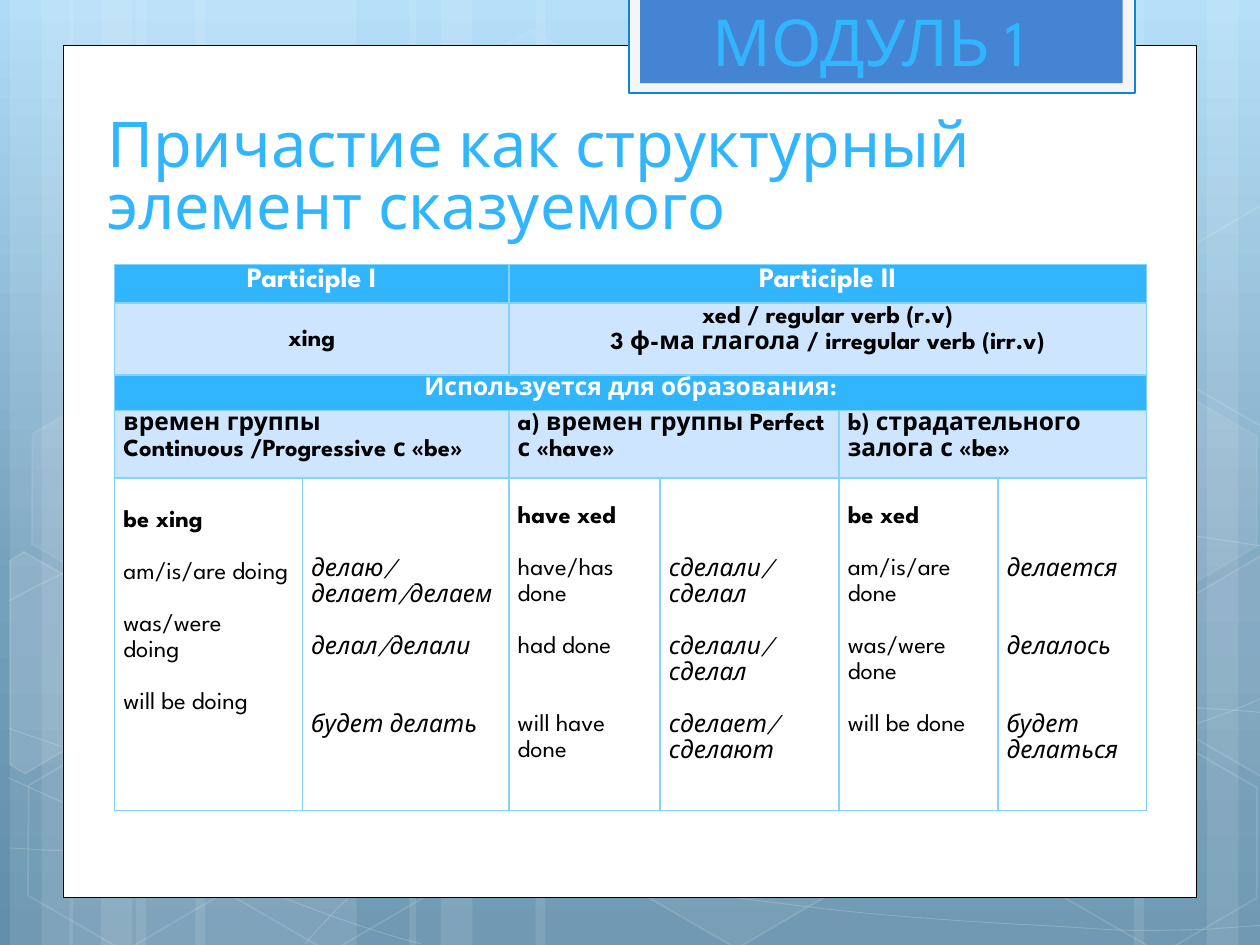
import copy
from typing import NamedTuple

import pptx
import pptx.dml.color
import pptx.enum.shapes
import pptx.enum.text
import pptx.oxml
import pptx.oxml.ns
import pptx.util

FONT = "League Spartan"
HUES = {"sky": "31B6FD", "pale": "CDE5FE", "edge": "83D3FE", "white": "FFFFFF",
        "black": "000000", "frame": "F5F5F5", "rim": "0B87D6", "tab": "4584D3",
        "high": "ADDBF8", "mid": "75A0BC", "low": "618EAB"}
KIND = pptx.enum.shapes.MSO_SHAPE
ALIGN = pptx.enum.text.PP_ALIGN
ANCHOR = pptx.enum.text.MSO_ANCHOR
UNIT = pptx.util.Inches(10) // 10  # the grid has 10 columns and 7.5 rows
LINE = 14.8  # points from one table line to the next


class Box(NamedTuple):
    left: float
    top: float
    wide: float
    high: float


class Look(NamedTuple):
    fill: str | None = None
    line: str | None = None
    width: float = 1
    fade: int = 100  # opacity of the fill, in percent
    veil: int = 100  # opacity of the line, in percent


class Head(NamedTuple):
    row: int
    col: int
    span: int
    lines: tuple[str, ...]
    fill: str = "pale"
    ink: str = "black"
    size: int = 14
    align: int = ALIGN.CENTER
    anchor: int = ANCHOR.TOP


class Form(NamedTuple):
    text: str
    gap: int = 0  # free lines above
    bold: bool = False


class Verbs(NamedTuple):
    top: float
    slant: bool
    forms: tuple[Form, ...]


BANDS = [(1.08, 1.75), (0.08, 0.5), (0.33, 0.83), (1.55, 1.75), (0.55, 0.5), (0.8, 0.83),
         (7.33, 1.75), (9.58, 0.5), (9, 0.83), (4.25, 3.08), (3.25, 0.5), (3.5, 0.83)]
# Each curve is a start point, then three points for every Bezier piece.
CURVES = [
    [(0.07, 6.73), (0.61, 6.76), (1.15, 6.79), (1.9, 6.78), (2.65, 6.77), (3.58, 6.75),
     (4.58, 6.65), (5.58, 6.55), (7, 6.36), (7.92, 6.17), (8.83, 5.98), (9.77, 5.68),
     (10.07, 5.51)],
    [(0.07, 4.77), (0.36, 4.61), (0.65, 4.46), (1.21, 4.31), (1.78, 4.16), (2.59, 3.94),
     (3.47, 3.87), (4.36, 3.8), (5.44, 3.79), (6.54, 3.87), (7.64, 3.95), (9.47, 4.26),
     (10.07, 4.34)],
    [(0.06, 6.17), (1.27, 6.72), (2.47, 7.27), (3.34, 7.49)],
    [(0.07, 5.78), (0.38, 5.89), (0.7, 6), (1.28, 6.16), (1.86, 6.31), (2.73, 6.56),
     (3.57, 6.73), (4.4, 6.9), (5.45, 7.08), (6.28, 7.18), (7.11, 7.29), (8, 7.33),
     (8.53, 7.36), (9.05, 7.4), (9.19, 7.38), (9.45, 7.38), (9.71, 7.37), (9.89, 7.35),
     (10.07, 7.34)],
    [(2.42, 7.49), (2.6, 7.29), (2.78, 7.09), (3.02, 6.91), (3.26, 6.73), (3.6, 6.53),
     (3.88, 6.39), (4.16, 6.25), (4.33, 6.19), (4.7, 6.09), (5.06, 5.99), (5.73, 5.85),
     (6.08, 5.78), (6.44, 5.71), (6.49, 5.71), (6.8, 5.69), (7.11, 5.66), (7.6, 5.63),
     (7.94, 5.62), (8.29, 5.61), (8.86, 5.62), (8.86, 5.62), (9.08, 5.62), (9.31, 5.62),
     (9.53, 5.62), (9.71, 5.63), (9.88, 5.64), (10.06, 5.66)],
]
# Left, top, opacity of the fill (0 for none) and of the line.
HEXES = [(3.34, 0.36, 4, 8), (4.97, 5.89, 6, 12), (0.11, 5.91, 0, 12), (0.14, 3.12, 7, 8),
         (1.74, 5.92, 0, 12), (7.53, 4.53, 10, 12), (8.34, 5.93, 0, 12), (8.34, 3.14, 7, 8)]
# Hexagons cut by the slide's edge: opacity of the fill and corners.
CUTS = [
    (10, [(0.08, 4.45), (0.19, 4.38), (0.96, 4.82), (0.95, 5.7), (0.2, 6.14), (0.08, 6.07)]),
    (4, [(9.26, 4.85), (10.01, 4.41), (10.09, 4.46), (10.09, 6.13), (10.02, 6.17), (9.26, 5.73)]),
    (0, [(9.26, 2.07), (10.01, 1.63), (10.1, 1.68), (10.09, 3.35), (10.02, 3.39), (9.26, 2.95)]),
]
COLS = [1.49, 1.64, 1.2, 1.42, 1.26, 1.18]
ROWS = [0.26, 0.57, 0.28, 0.52, 2.31]
HEADS = [
    Head(0, 0, 2, ("Participle I",), "sky", "white", 16),
    Head(0, 2, 4, ("Participle II",), "sky", "white", 16),
    Head(1, 0, 2, ("xing",), anchor=ANCHOR.MIDDLE),
    Head(1, 2, 4, ("xed / regular verb (r.v)", "3 ф-ма глагола / irregular verb (irr.v)")),
    Head(2, 0, 6, ("Используется для образования:",), "sky", "white"),
    Head(3, 0, 2, ("времен группы", "Continuous /Progressive с «be»"), align=ALIGN.LEFT),
    Head(3, 2, 2, ("a) времен группы Perfect с «have»",), align=ALIGN.LEFT),
    Head(3, 4, 2, ("b) страдательного залога с «be»",), align=ALIGN.LEFT),
]
VERBS = [
    Verbs(0.23, False, (Form("be xing", bold=True), Form("am/is/are doing", 1),
                        Form("was/were", 1), Form("doing"), Form("will be doing", 1))),
    Verbs(0.62, True, (Form("делаю/делает/делаем"), Form("делал/делали", 1),
                       Form("будет делать", 2))),
    Verbs(0.2, False, (Form("have xed", bold=True), Form("have/has", 1), Form("done"),
                       Form("had done", 1), Form("will have", 2), Form("done"))),
    Verbs(0.62, True, (Form("сделали/"), Form("сделал"), Form("сделали/", 1), Form("сделал"),
                       Form("сделает/", 1), Form("сделают"))),
    Verbs(0.2, False, (Form("be xed", bold=True), Form("am/is/are", 1), Form("done"),
                       Form("was/were", 1), Form("done"), Form("will be done", 1))),
    Verbs(0.62, True, (Form("делается"), Form("делалось", 2), Form("будет делаться", 2))),
]


def hue(name: str) -> pptx.dml.color.RGBColor:
    return pptx.dml.color.RGBColor.from_string(HUES[name])


def grid(*sizes: float) -> list[int]:
    return [round(size * UNIT) for size in sizes]


def sheer(fill, name: str, share: int) -> None:
    """Fill with a colour of the given opacity."""
    fill.solid()
    fill.fore_color.rgb = hue(name)
    if share < 100:
        tint = fill._xPr.find(".//" + pptx.oxml.ns.qn("a:srgbClr"))
        tint.append(pptx.oxml.parse_xml(
            f'<a:alpha {pptx.oxml.ns.nsdecls("a")} val="{share * 1000}"/>'))


def paint(shape, look: Look) -> None:
    shape.shadow.inherit = False
    if look.fill:
        sheer(shape.fill, look.fill, look.fade)
    else:
        shape.fill.background()
    if look.line:
        shape.line.width = pptx.util.Pt(look.width)
        sheer(shape.line.fill, look.line, look.veil)
    else:
        shape.line.fill.background()


def block(slide, box: Box, look: Look, kind=KIND.RECTANGLE):
    shape = slide.shapes.add_shape(kind, *grid(*box))
    paint(shape, look)
    return shape


def trace(slide, spots: list, look: Look, close: bool):
    dots = [grid(*spot) for spot in spots]
    pen = slide.shapes.build_freeform(*dots[0])
    pen.add_line_segments(dots[1:], close=close)
    shape = pen.convert_to_shape()
    paint(shape, look)
    return shape


def bend(shape) -> None:
    """Turn every three straight segments into one Bezier piece."""
    legs = list(shape._element.iter(pptx.oxml.ns.qn("a:lnTo")))
    for i in range(0, len(legs), 3):
        piece = pptx.oxml.parse_xml(f'<a:cubicBezTo {pptx.oxml.ns.nsdecls("a")}/>')
        legs[i].addprevious(piece)
        for leg in legs[i:i + 3]:
            piece.append(leg[0])
            leg.getparent().remove(leg)


def close_size(para, size: int) -> None:
    """Set the size of the paragraph's end mark, which counts for row heights."""
    para._p.get_or_add_endParaRPr().set("sz", str(size * 100))


def style(para, size: int, ink: str, bold: bool = False, slant: bool = False) -> None:
    for run in para.runs:
        font = run.font
        font.name, font.size, font.color.rgb = FONT, pptx.util.Pt(size), hue(ink)
        font.bold, font.italic = bold, slant
    close_size(para, size)


def sky(slide) -> None:
    """Lay the three-colour gradient behind the slide."""
    fill = slide.background.fill
    fill.gradient()
    fill.gradient_angle = 270
    stops = slide._element.find(".//" + pptx.oxml.ns.qn("a:gsLst"))
    stops.append(copy.deepcopy(stops[-1]))
    for stop, name, place in zip(fill.gradient_stops, ("high", "mid", "low"), (0, 0.62, 1)):
        stop.color.rgb, stop.position = hue(name), place


def decor(slide) -> None:
    for left, wide in BANDS:
        block(slide, Box(left, 0, wide, 7.5), Look("white", fade=10))
    for spots in CURVES:
        bend(trace(slide, spots, Look(line="white", width=0.5, veil=20), False))
    for left, top, fade, veil in HEXES:
        look = Look("white" if fade else None, "white", 1, fade, veil)
        shape = block(slide, Box(left, top, 1.75, 1.52), look, KIND.HEXAGON)
        shape.rotation = 30
        shape.adjustments[0], shape.adjustments[1] = 0.285, 1.155
    for fade, spots in CUTS:
        trace(slide, spots, Look("white" if fade else None, "white", 1, fade, 12), True)
    block(slide, Box(0.5, 0.36, 9, 6.76), Look("white", "black", 0.5))
    block(slide, Box(4.99, -0.02, 4.02, 0.76), Look("frame", "rim", 1.25))
    block(slide, Box(5.08, -0.02, 3.83, 0.68), Look("tab"))


def label(shape, box: Box, text: str, size: int):
    shape.left, shape.top, shape.width, shape.height = grid(*box)
    frame = shape.text_frame
    frame.word_wrap, frame.vertical_anchor = True, ANCHOR.BOTTOM
    frame.text = text
    para = frame.paragraphs[0]
    para.alignment = ALIGN.LEFT
    style(para, size, "sky")
    return para


def pad(cell, top: float = 0) -> None:
    cell.margin_left, cell.margin_right, cell.margin_top, cell.margin_bottom = grid(
        0.07, 0.07, top, 0)


def rule(cell) -> None:
    """Give a cell its four borders."""
    for side in "LRTB":
        cell._tc.get_or_add_tcPr().append(pptx.oxml.parse_xml(
            f'<a:ln{side} {pptx.oxml.ns.nsdecls("a")} w="12700"><a:solidFill>'
            f'<a:srgbClr val="{HUES["edge"]}"/></a:solidFill></a:ln{side}>'))


def write(cell, lines: list[str], fill: str):
    cell.fill.solid()
    cell.fill.fore_color.rgb = hue(fill)
    cell.text_frame.text = "\n".join(lines)
    for para in cell.text_frame.paragraphs:
        para.line_spacing = 1.15
    return cell.text_frame.paragraphs


def chart(slide) -> None:
    """Build the table of participles."""
    box = Box(0.91, 2.1, sum(COLS), sum(ROWS))
    table = slide.shapes.add_table(len(ROWS), len(COLS), *grid(*box)).table
    table.first_row = table.horz_banding = False
    for col, wide in zip(table.columns, grid(*COLS)):
        col.width = wide
    for row, high in zip(table.rows, grid(*ROWS)):
        row.height = high
    for cell in table.iter_cells():
        rule(cell)
        pad(cell)
        close_size(cell.text_frame.paragraphs[0], 14)
    for head in HEADS:
        cell = table.cell(head.row, head.col)
        cell.merge(table.cell(head.row, head.col + head.span - 1))
        cell.vertical_anchor = head.anchor
        for para in write(cell, head.lines, head.fill):
            para.alignment = head.align
            style(para, head.size, head.ink, True)
    for col, verbs in enumerate(VERBS):
        cell = table.cell(4, col)
        pad(cell, verbs.top)
        paras = write(cell, [form.text for form in verbs.forms], "white")
        for para, form in zip(paras, verbs.forms):
            para.space_before = pptx.util.Pt(form.gap * LINE)
            style(para, 14, "black", form.bold, verbs.slant)


def main() -> None:
    deck = pptx.Presentation()
    deck.slide_width, deck.slide_height = grid(10, 7.5)
    slide = deck.slides.add_slide(deck.slide_layouts[5])
    sky(slide)
    decor(slide)
    title = slide.shapes.title
    slide.shapes._spTree.append(title._element)  # bring above the panel
    para = label(title, Box(0.75, 0.76, 7.68, 1.21),
                 "Причастие как структурный элемент сказуемого", 36)
    para.line_spacing = pptx.util.Pt(35)
    spot = Box(5.56, 0, 2.99, 0.68)
    label(slide.shapes.add_textbox(*grid(*spot)), spot, "МОДУЛЬ 1", 37)
    chart(slide)
    deck.save("out.pptx")


if __name__ == "__main__":
    main()
